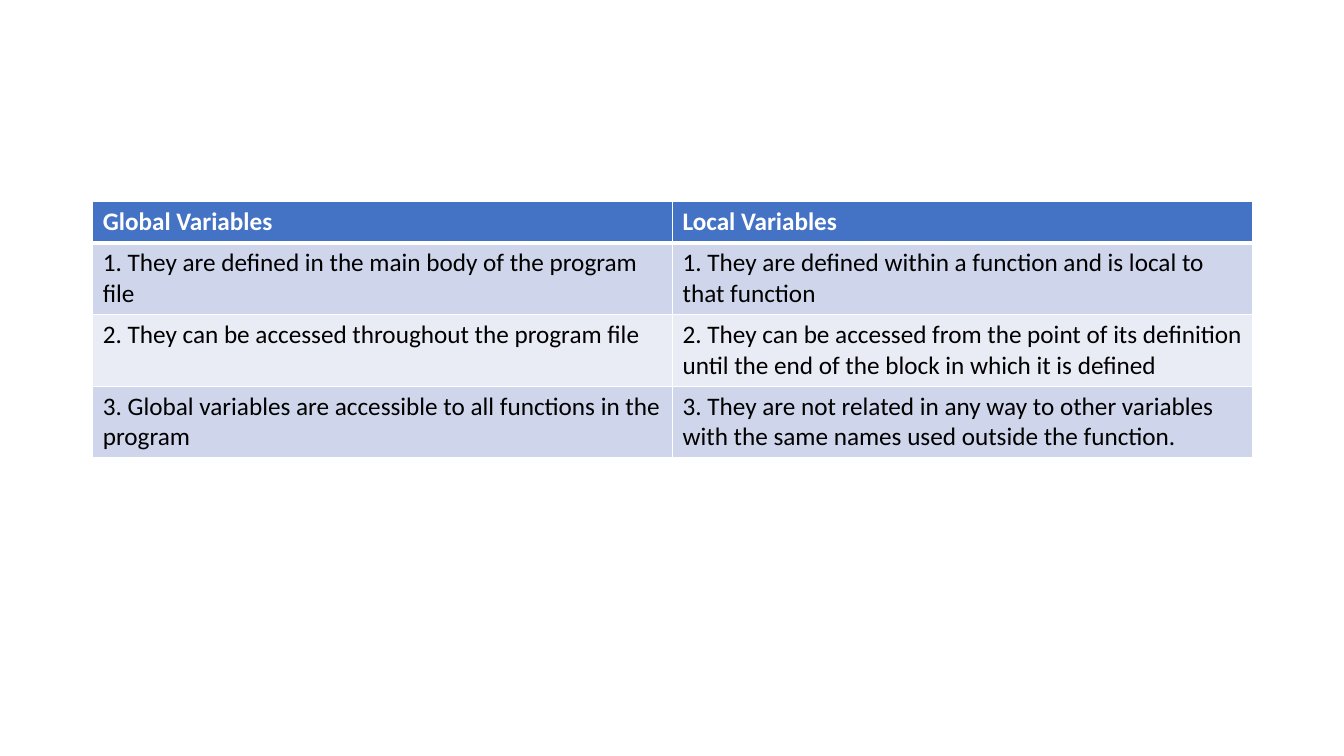
from lxml.etree import SubElement
from pptx import Presentation
from pptx.dml.color import RGBColor as RGB
from pptx.oxml.ns import qn
from pptx.util import Inches, Pt

COLORS = {
    "header": "4472C4",
    "odd": "CFD5EA",
    "even": "E9EBF5",
    "border": "FFFFFF",
    "light": "FFFFFF",
    "dark": "000000",
}
ROWS = [
    ("Global Variables", "Local Variables"),
    ("1. They are defined in the main body of the program file",
     "1. They are defined within a function and is local to that function"),
    ("2. They can be accessed throughout the program file",
     "2. They can be accessed from the point of its definition until the end "
     "of the block in which it is defined"),
    ("3. Global variables are accessible to all functions in the program",
     "3. They are not related in any way to other variables with the same "
     "names used outside the function."),
]


class Deck:
    """Hold the text style and the current slide."""

    def __init__(self, prs):
        """Add a blank slide to the presentation."""
        self.s = prs.slides.add_slide(prs.slide_layouts[6])
        self.font = {"name": "Calibri", "size": Pt(18)}

    def border(self, cell, widths):
        """Draw the cell borders, with widths in points by side."""
        tc_pr = cell._tc.get_or_add_tcPr()
        for side, width in widths.items():
            ln = SubElement(tc_pr, qn(f"a:ln{side}"), w=str(Pt(width)))
            fill = SubElement(ln, qn("a:solidFill"))
            SubElement(fill, qn("a:srgbClr"), val=COLORS["border"])

    def cell(self, cell, text, fill, color, bold, widths):
        """Fill, border and write one table cell."""
        self.border(cell, widths)
        cell.fill.solid()
        cell.fill.fore_color.rgb = RGB.from_string(COLORS[fill])
        r = cell.text_frame.paragraphs[0].add_run()
        r.text = text
        for key, value in {**self.font, "bold": bold}.items():
            setattr(r.font, key, value)
        r.font.color.rgb = RGB.from_string(COLORS[color])

    def table(self, rows, left, top, col_width, header_height, row_height):
        """Add a banded table whose first row is the header."""
        cols = len(rows[0])
        height = header_height + row_height * (len(rows) - 1)
        box = map(Inches, (left, top, col_width * cols, height))
        table = self.s.shapes.add_table(len(rows), cols, *box).table
        for i, texts in enumerate(rows):
            header = i == 0
            table.rows[i].height = Inches(header_height if header else row_height)
            fill = "header" if header else "odd" if i % 2 else "even"
            color = "light" if header else "dark"
            widths = {"L": 1, "R": 1, "T": 3 if i == 1 else 1, "B": 3 if header else 1}
            for j, text in enumerate(texts):
                self.cell(table.cell(i, j), text, fill, color, header, widths)


def main():
    """Build and save the slide."""
    prs = Presentation()
    prs.slide_width, prs.slide_height = Inches(13.33), Inches(7.5)
    Deck(prs).table(ROWS, 0.92, 2, 5.75, 0.41, 0.71)
    prs.save("out.pptx")


if __name__ == "__main__":
    main()
